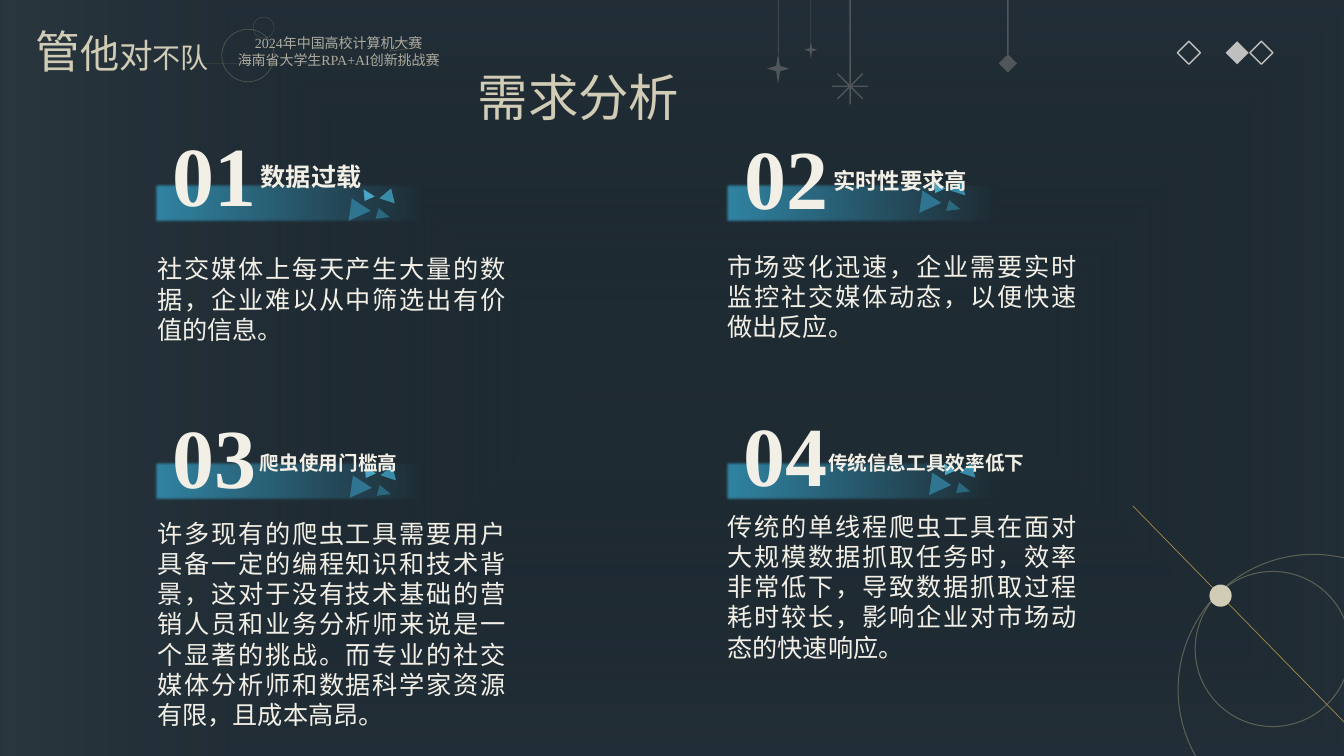
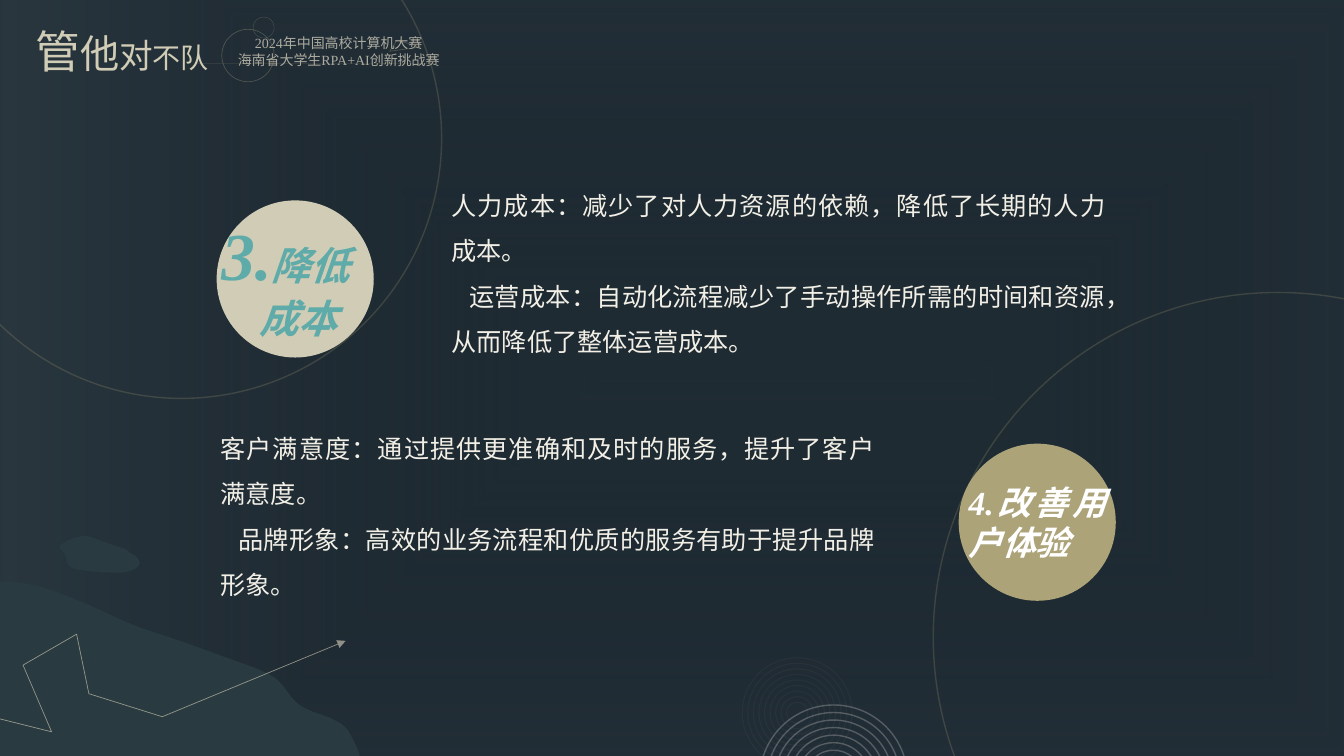
from itertools import pairwise

from lxml import etree
from pptx import Presentation
from pptx import util as u
from pptx.dml.color import RGBColor
from pptx.enum import shapes, text
from pptx.oxml.ns import qn

MSO = shapes.MSO_SHAPE
LINE = shapes.MSO_CONNECTOR.STRAIGHT
AL = text.PP_ALIGN
JUSTIFY = {"alignment": AL.JUSTIFY}

T = {
    "font": "Times New Roman",
    "back": "233036", "night": "131D29", "haze": "2A373F", "rim": "5C594F",
    "sand": "D1CCB5", "olive": "A29F7E", "khaki": "ACA379", "cream": "E2DBC7",
    "text": "F2EFE6", "white": "FFFFFF", "teal": "5EABA9", "bar": "3085A4", "bar_end": "2E3F47",
    "shards": ["2F758F", "4CA5C4", "2A687E", "388CAA"],
    "grey": "808080", "silver": "BFBFBF", "gold": "A38A48", "land": "293B41",
    "title": 36, "number": 60, "body": 18, "contest": 10, "team": [32, 28, 24, 20],
    "big": 48, "badge": 28, "badge_small": 24,
}


def paint(sp, fill=None, line=None, width=1, alpha=100, rot=0, adj=None, grad=None, soft=0):
    sp_pr = sp._element.spPr
    if line:
        sp.line.color.rgb = RGBColor.from_string(line)
        sp.line.width = u.Pt(width)
    else:
        sp.line.fill.background()
    if hasattr(sp, "fill"):
        sp.shadow.inherit = False
        sp.rotation = rot
        if adj is not None:
            sp.adjustments[0] = adj
        if fill or grad:
            sp.fill.solid()
            sp.fill.fore_color.rgb = RGBColor.from_string(fill or grad[0][1])
        else:
            sp.fill.background()
    else:
        etree.SubElement(sp_pr, qn("a:effectLst"))
    if alpha < 100:
        for clr in sp_pr.iter(qn("a:srgbClr")):
            etree.SubElement(clr, qn("a:alpha"), val=str(alpha * 1000))
    if grad:
        g = etree.Element(qn("a:gradFill"), rotWithShape="1")
        stops = etree.SubElement(g, qn("a:gsLst"))
        for pos, color, opacity in grad:
            stop = etree.SubElement(stops, qn("a:gs"), pos=str(pos * 1000))
            clr = etree.SubElement(stop, qn("a:srgbClr"), val=color)
            etree.SubElement(clr, qn("a:alpha"), val=str(opacity * 1000))
        if soft:
            etree.SubElement(g, qn("a:lin"), ang="0", scaled="0")
            effects = sp_pr.find(qn("a:effectLst"))
            etree.SubElement(effects, qn("a:softEdge"), rad=str(u.Pt(soft)))
        else:
            path = etree.SubElement(g, qn("a:path"))
            path.set("path", "shape")
            etree.SubElement(path, qn("a:fillToRect"), dict.fromkeys("ltrb", "50000"))
        sp_pr.replace(sp_pr.find(qn("a:solidFill")), g)
    return sp


def write(s, box, paras, para=None, wrap=True, alpha=100, indent=0, **base):
    sp = s.shapes.add_textbox(*map(u.Cm, box))
    tf = sp.text_frame
    tf.word_wrap = wrap
    tf.auto_size = text.MSO_AUTO_SIZE.SHAPE_TO_FIT_TEXT
    for i, runs in enumerate(paras):
        p = tf.paragraphs[0] if i == 0 else tf.add_paragraph()
        for key, value in (para or {}).items():
            setattr(p, key, value)
        if i and indent:
            p._p.get_or_add_pPr().set("indent", str(u.Cm(indent)))
        for words, own in runs:
            r = p.add_run()
            r.text = words
            fmt = {"name": T["font"], **base, **own}
            r.font.color.rgb = RGBColor.from_string(fmt.pop("color"))
            fmt["size"] = u.Pt(fmt["size"])
            for key, value in fmt.items():
                setattr(r.font, key, value)
            r._r.get_or_add_rPr().set("lang", "zh-CN")
    if alpha < 100:
        for clr in sp._element.iter(qn("a:srgbClr")):
            etree.SubElement(clr, qn("a:alpha"), val=str(alpha * 1000))


prs = Presentation()
prs.slide_width, prs.slide_height = u.Cm(33.87), u.Cm(19.05)
layout = prs.slide_layouts[6]
s = prs.slides.add_slide(layout)

layout.background.fill.solid()
layout.background.fill.fore_color.rgb = RGBColor.from_string(T["back"])
sp = s.shapes.add_shape(MSO.OVAL, *map(u.Cm, (-6.17, -11.66, 51.97, 42.49)))
paint(sp, line=T["rim"], grad=[(0, T["night"], 20), (70, T["haze"], 100), (86, T["night"], 100)])
write(s, (5.59, 0.74, 5.89, 1.12),
      [[("2024年中国高校计算机大赛", {})], [("海南省大学生RPA+AI创新挑战赛", {})]],
      {"alignment": AL.CENTER}, alpha=73, size=T["contest"], color=T["cream"])
paint(s.shapes.add_connector(LINE, *map(u.Cm, (4.93, 1.6, 10.9, 1.6))),
      line=T["olive"], width=0.5, alpha=12)
for kind, box, width, rot, adj in [
    (MSO.OVAL, (5.59, 0.74, 1.32, 1.32), 0.5, 0, None),
    (MSO.OVAL, (6.38, 0.43, 0.53, 0.53), 0.25, 0, None),
    (MSO.ISOSCELES_TRIANGLE, (9.8, 0.99, 0.79, 0.25), 0.5, 352.3, 0.28),
]:
    paint(s.shapes.add_shape(kind, *map(u.Cm, box)),
          line=T["olive"], width=width, alpha=35, rot=rot, adj=adj)
team = [(w, {"size": size}) for w, size in zip(["管", "他", "对", "不队"], T["team"])]
write(s, (0.64, 0.48, 4.93, 1.63), [team], wrap=False, color=T["sand"])

tree = layout.shapes._spTree
for holder in list(layout.placeholders):
    tree.remove(holder._element)
for sp in list(s.shapes):
    tree.append(sp._element)

shards = [
    (0, 0, 0.61, 0.48, 335.6, 0.5),
    (0.46, -0.24, 0.28, 0.28, 335.6, 0.34),
    (0.86, 0.28, 0.28, 0.33, 105.8, 0.5),
    (0.94, -0.24, 0.41, 0.33, 18.2, 0.5),
]
cards = [
    ("01", (4.11, 2.97), "数据过载", 18, (6.32, 3.94, 3.53, 1.02), (8.66, 4.98), (6.27, 2.57),
     "社交媒体上每天产生大量的数据，企业难以从中筛选出有价值的信息。"),
    ("02", (18.52, 3.05), "实时性要求高", 16, (20.75, 4.09, 3.94, 0.94), (23.04, 4.78), (6.2, 2.57),
     "市场变化迅速，企业需要实时监控社交媒体动态，以便快速做出反应。"),
    ("03", (4.11, 10.08), "爬虫使用门槛高", 14, (6.3, 11.23, 4.98, 0.86), (8.69, 11.96), (12.93, 5.64),
     "许多现有的爬虫工具需要用户具备一定的编程知识和技术背景，这对于没有技术基础的营销人员和业务分析师"
     "来说是一个显著的挑战。而专业的社交媒体分析师和数据科学家资源有限，且成本高昂。"),
    ("04", (18.49, 10.01), "传统信息工具效率低下", 14, (20.62, 11.23, 6.73, 0.86), (23.29, 11.89), (12.75, 4.11),
     "传统的单线程爬虫工具在面对大规模数据抓取任务时，效率非常低下，导致数据抓取过程耗时较长，"
     "影响企业对市场动态的快速响应。"),
]
for i, (number, spot, head, size, head_box, (sx, sy), (top, height), body) in enumerate(cards):
    row, col = divmod(i, 2)
    bar = s.shapes.add_shape(MSO.RECTANGLE, *map(u.Cm, (3.86 + 14.4 * col, 4.6 + 7.01 * row, 8.84, 1.04)))
    paint(bar, grad=[(0, T["bar"], 100), (78, T["bar"], 0), (100, T["bar_end"], 0)], soft=2)
    write(s, (3.71 + 14.37 * col, top, 9.3, height), [[(body, {})]], JUSTIFY,
          size=T["body"], color=T["text"])
    for (dx, dy, w, h, rot, adj), color in zip(shards, T["shards"]):
        sp = s.shapes.add_shape(MSO.ISOSCELES_TRIANGLE, *map(u.Cm, (sx + dx, sy + dy, w, h)))
        paint(sp, fill=color, rot=rot, adj=adj)
    write(s, (*spot, 3.33, 2.82), [[(number, {})]], JUSTIFY,
          size=T["number"], color=T["text"], bold=True)
    write(s, head_box, [[(head, {})]], size=size, color=T["text"], bold=True)

for x, y, d in [(29.69, 13.97, 6.81), (30.12, 14.4, 3.91)]:
    paint(s.shapes.add_shape(MSO.OVAL, *map(u.Cm, (x, y, d, d))),
          line=T["olive"], width=0.75, alpha=45)
paint(s.shapes.add_connector(LINE, *map(u.Cm, (28.55, 12.75, 38.63, 23.06))),
      line=T["gold"], width=0.5)
paint(s.shapes.add_shape(MSO.OVAL, *map(u.Cm, (30.48, 14.73, 0.56, 0.56))), fill=T["sand"])

for kind, x, y, w, h, width in [
    (MSO.STAR_8_POINT, 20.98, 1.73, 0.89, 0.89, 1),
    (MSO.DIAMOND, 25.17, 1.37, 0.46, 0.46, 1),
    (MSO.STAR_4_POINT, 19.33, 1.35, 0.56, 0.76, 0.5),
    (MSO.STAR_4_POINT, 20.27, 1.04, 0.33, 0.43, 0.5),
]:
    pendant = s.shapes.add_shape(kind, *map(u.Cm, (x, y, w, h)))
    if kind == MSO.STAR_8_POINT:
        paint(pendant, line=T["grey"], alpha=50, adj=0)
    else:
        paint(pendant, fill=T["grey"], alpha=50)
    string = s.shapes.add_connector(LINE, *map(u.Cm, (x + w / 2, 0, x + w / 2, y)))
    paint(string, line=T["grey"], width=width, alpha=50)
    if kind == MSO.DIAMOND:
        string.end_connect(pendant, 0)

for x, style in [(31.5, "line"), (30.89, "fill"), (29.67, "line")]:
    paint(s.shapes.add_shape(MSO.DIAMOND, *map(u.Cm, (x, 1.04, 0.58, 0.58))), **{style: T["silver"]})
write(s, (11.76, 1.55, 5.64, 1.8), [[("需求分析", {})]], {"alignment": AL.CENTER}, wrap=False,
      size=T["title"], color=T["sand"])

s = prs.slides.add_slide(layout)
hill = [
    (-3.73, 16.36), (-3.25, 15.77), (-1.24, 14.73), (-0.03, 14.66), (1.19, 14.58), (2.72, 15.54),
    (3.63, 15.85), (4.55, 16.15), (4.9, 16.28), (5.46, 16.48), (5.99, 16.69), (6.5, 16.82),
    (6.86, 17.04), (7.21, 17.25), (7.24, 17.55), (7.57, 17.78), (7.9, 18.01), (8.56, 18.06),
    (8.79, 18.44), (9.02, 18.82), (9.37, 19.61), (8.92, 20.04), (8.48, 20.5), (7.85, 21.03),
    (6.12, 21.11), (4.37, 21.18), (0, 20.98), (-1.5, 20.47), (-3, 19.96), (-2.51, 18.8),
    (-2.87, 18.11), (-3.25, 17.45), (-4.22, 16.92), (-3.73, 16.36),
]
islet = [
    (1.52, 13.74), (1.6, 13.67), (1.91, 13.51), (2.11, 13.51), (2.29, 13.49), (2.51, 13.64),
    (2.67, 13.67), (2.79, 13.72), (2.87, 13.74), (2.95, 13.77), (3.02, 13.79), (3.1, 13.82),
    (3.18, 13.84), (3.23, 13.87), (3.23, 13.92), (3.28, 13.94), (3.33, 13.97), (3.43, 14),
    (3.45, 14.05), (3.51, 14.1), (3.56, 14.2), (3.48, 14.27), (3.43, 14.33), (3.33, 14.4),
    (3.05, 14.43), (2.77, 14.43), (2.11, 14.4), (1.88, 14.33), (1.63, 14.25), (1.7, 14.1),
    (1.65, 14), (1.6, 13.89), (1.45, 13.82), (1.52, 13.74),
]
trend = [(-0.94, 17.88), (1.3, 18.44), (0.58, 16.76), (1.93, 15.98),
         (2.24, 17.48), (4.09, 18.06), (8.71, 16.15)]


for outline in (hill, islet):
    points = [(u.Cm(x), u.Cm(y)) for x, y in outline]
    builder = s.shapes.build_freeform(*points[0])
    builder.add_line_segments(points[1:], close=True)
    sp = paint(builder.convert_to_shape(), fill=T["land"])
    corners = list(sp._element.iter(qn("a:lnTo")))
    for k in range(0, len(points) - 1, 3):
        curve = etree.Element(qn("a:cubicBezTo"))
        corners[k].addprevious(curve)
        for corner in corners[k:k + 3]:
            curve.append(corner[0])
            corner.getparent().remove(corner)

for start, end in pairwise(trend):
    cx = paint(s.shapes.add_connector(LINE, *map(u.Cm, start + end)),
               line=T["sand"], width=0.5, alpha=63)
etree.SubElement(cx._element.spPr.find(qn("a:ln")), qn("a:tailEnd"), type="triangle")

for x, y, color in [(24.16, 11.18, "khaki"), (5.46, 5.05, "sand")]:
    paint(s.shapes.add_shape(MSO.OVAL, *map(u.Cm, (x, y, 3.96, 3.96))), fill=T[color])

for x, y, first, gap, count, color, width, alpha in [
    (20.09, 17.96, 0.53, 0.28, 9, "cream", 0.75, 3),
    (21.01, 19.63, 1.45, 0.38, 7, "silver", 1, 32),
]:
    for i in range(count):
        d = first + gap * i
        sp = s.shapes.add_shape(MSO.OVAL, *map(u.Cm, (x - d / 2, y - d / 2, d, d)))
        paint(sp, line=T[color], width=width, alpha=alpha)

for x, y, lines in [
    (11.13, 4.29, ["人力成本：减少了对人力资源的依赖，降低了长期的人力成本。",
                   "运营成本：自动化流程减少了手动操作所需的时间和资源，从而降低了整体运营成本。"]),
    (5.31, 10.41, ["客户满意度：通过提供更准确和及时的服务，提升了客户满意度。",
                   "品牌形象：高效的业务流程和优质的服务有助于提升品牌形象。"]),
]:
    write(s, (x, y, 16.99, 4.72), [[(words, {})] for words in lines],
          {**JUSTIFY, "line_spacing": 1.5}, indent=0.45, size=T["body"], color=T["text"])

for x, y, d in [(-1.98, -3.07, 13.11), (23.52, 7.37, 17.37)]:
    paint(s.shapes.add_shape(MSO.OVAL, *map(u.Cm, (x, y, d, d))), line=T["khaki"], alpha=22)

write(s, (5.33, 5.26, 6.71, 3.51),
      [[("3.", {"size": T["big"]}), ("降低", {})], [("成本", {})]], JUSTIFY, indent=0.95,
      size=T["badge"], color=T["teal"], bold=True, italic=True)
write(s, (24.16, 12.01, 3.96, 2.31), [[("4.改善用户体验", {})]], JUSTIFY,
      size=T["badge_small"], color=T["white"], bold=True, italic=True)

prs.save("out.pptx")
